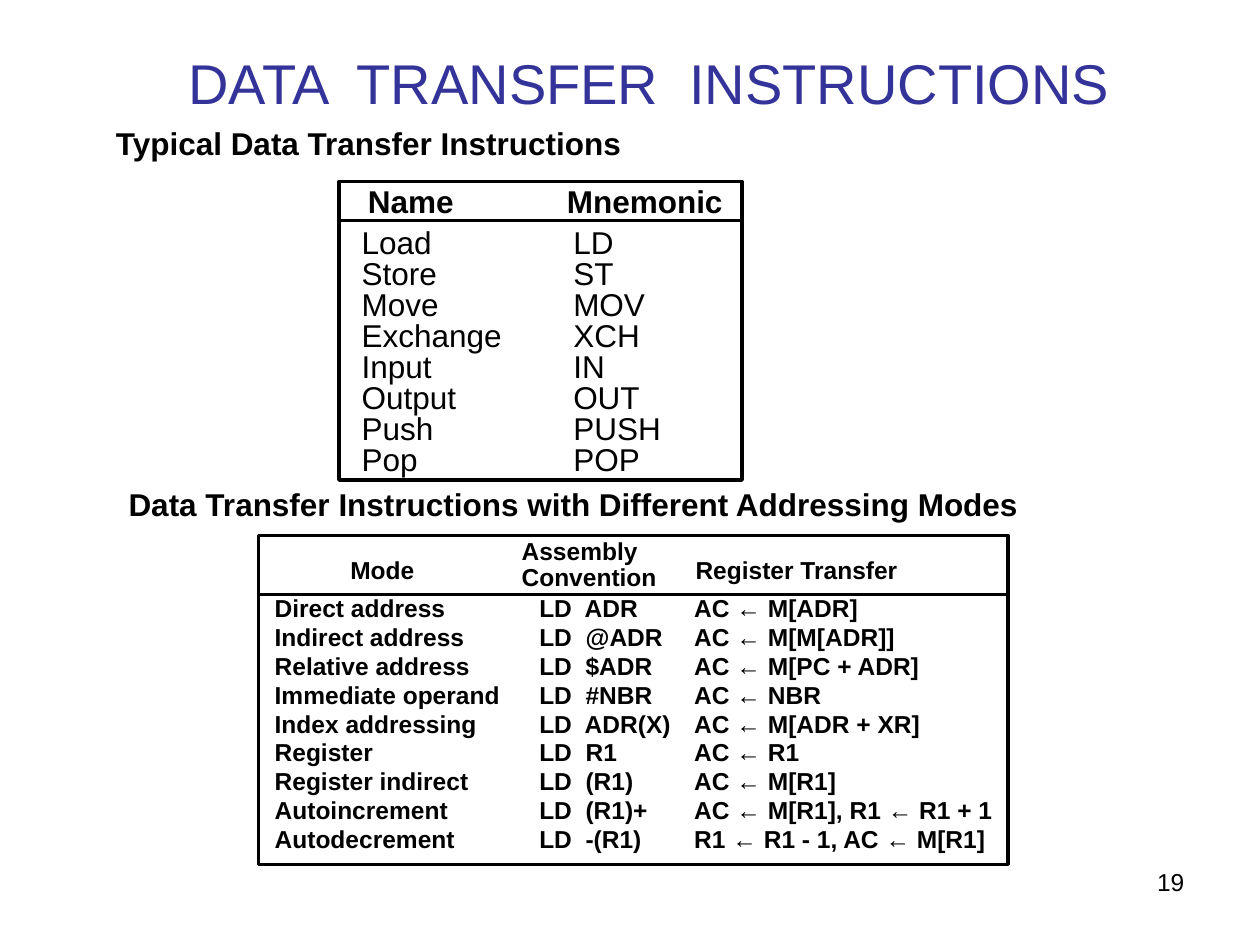
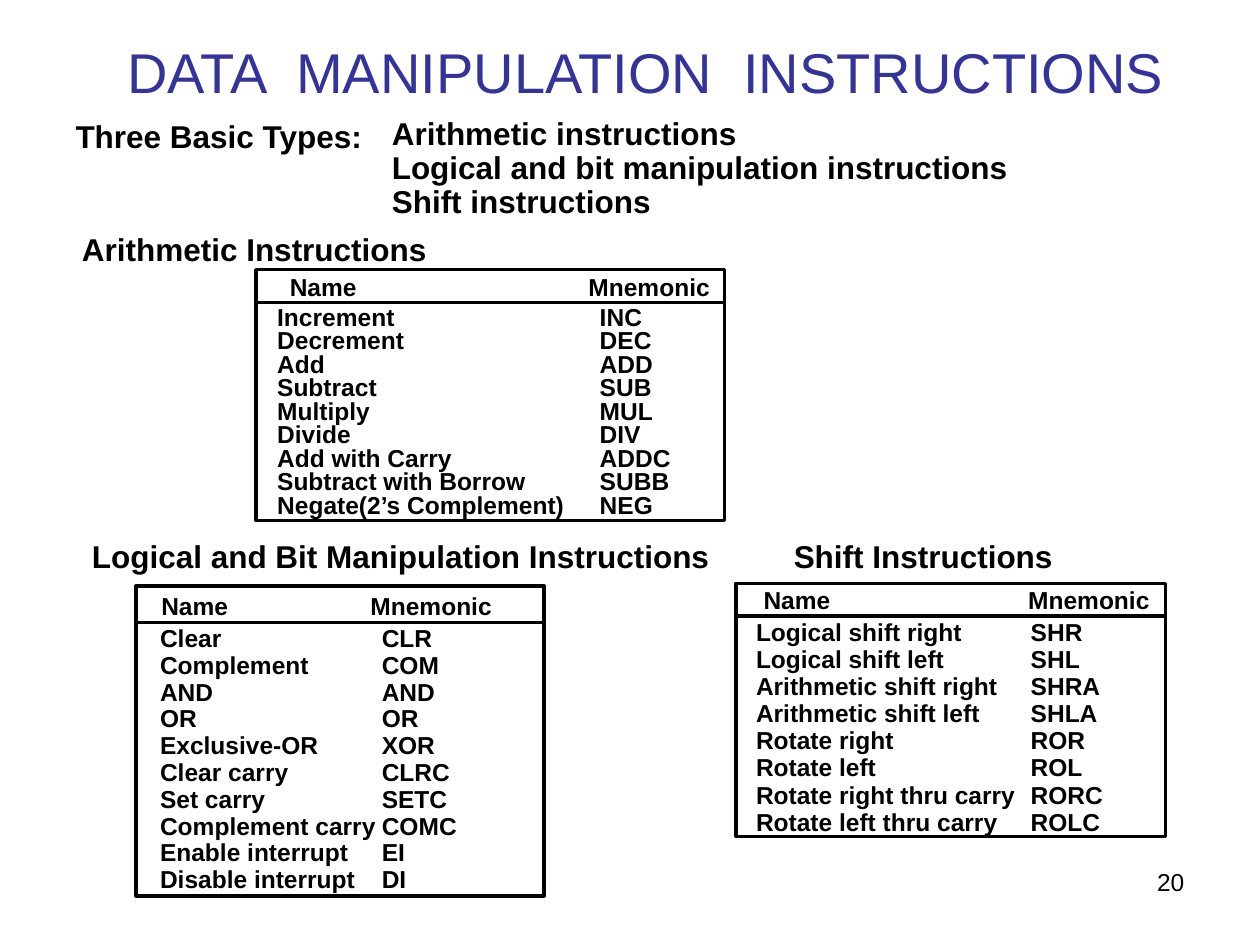
from lxml import etree
from pptx import Presentation
from pptx.dml.color import RGBColor
from pptx.enum import shapes, text
from pptx.oxml import ns
from pptx.util import Inches, Pt

FONT = "Arial"
BLACK = "000000"
TITLE_BLUE = "333399"

TRANSFER_ROWS = [
    "Load\tLD", "Store\tST", "Move\tMOV", "Exchange\tXCH",
    "Input\tIN", "Output\tOUT", "Push\tPUSH", "Pop\tPOP",
]
MODE_ROWS = [
    "Direct address\tLD  ADR\tAC ← M[ADR]",
    "Indirect address\tLD  @ADR\tAC ← M[M[ADR]]",
    "Relative address\tLD  $ADR\tAC ← M[PC + ADR]",
    "Immediate operand\tLD  #NBR\tAC ← NBR",
    "Index addressing\tLD  ADR(X)\tAC ← M[ADR + XR]",
    "Register\tLD  R1\tAC ← R1",
    "Register indirect\tLD  (R1)\tAC ← M[R1]",
    "Autoincrement\tLD  (R1)+\tAC ← M[R1], R1 ← R1 + 1",
    "Autodecrement\tLD  -(R1)\tR1 ← R1 - 1, AC ← M[R1]",
]
ARITHMETIC_ROWS = [
    "Increment\tINC", "Decrement\tDEC", "Add\tADD", "Subtract\tSUB",
    "Multiply\tMUL", "Divide\tDIV", "Add with Carry\tADDC",
    "Subtract with Borrow\tSUBB", "Negate(2’s Complement)\tNEG",
]
LOGICAL_ROWS = [
    "Clear\tCLR", "Complement\tCOM", "AND\tAND", "OR\tOR",
    "Exclusive-OR\tXOR", "Clear carry\tCLRC", "Set carry\tSETC",
    "Complement carry\tCOMC", "Enable interrupt\tEI", "Disable interrupt\tDI",
]
SHIFT_ROWS = [
    "Logical shift right\tSHR", "Logical shift left\tSHL",
    "Arithmetic shift right\tSHRA", "Arithmetic shift left\tSHLA",
    "Rotate right\tROR", "Rotate left\tROL",
    "Rotate right thru carry\tRORC", "Rotate left thru carry\tROLC",
]


def color(hex_value):
    return RGBColor.from_string(hex_value)


def add_tabs(p, stops):
    """Give a paragraph left tab stops, in inches from the text edge."""
    tabs = etree.SubElement(p._p.get_or_add_pPr(), ns.qn("a:tabLst"))
    for stop in stops:
        etree.SubElement(tabs, ns.qn("a:tab"), pos=str(Inches(stop)), algn="l")


def write(sp, lines, size, bold=False, hex_value=BLACK, spacing=None,
          align=text.PP_ALIGN.LEFT, tabs=()):
    """Fill a shape with one paragraph per line, all in the same style."""
    tf = sp.text_frame
    tf.word_wrap = True
    tf.auto_size = text.MSO_AUTO_SIZE.NONE
    tf.margin_left = tf.margin_right = Inches(0.07)
    tf.margin_top = tf.margin_bottom = Inches(0.03)
    tf.text = "\n".join(lines)
    for p in tf.paragraphs:
        p.alignment = align
        if spacing:
            p.line_spacing = spacing
        if tabs:
            add_tabs(p, tabs)
        p.font.name = FONT
        p.font.size = Pt(size)
        p.font.bold = bold
        p.font.color.rgb = color(hex_value)


def add_text(s, box, lines, size, **style):
    write(s.shapes.add_textbox(*map(Inches, box)), lines, size, **style)


def add_heading(s, left, top, *lines):
    height = 0.05 + 0.28 * len(lines)
    add_text(s, (left, top, 9.5 - left, height), lines, 18, bold=True, spacing=0.9)


def titled_slide(prs, title, box, number):
    s = prs.slides.add_slide(prs.slide_layouts[5])
    sp = s.shapes.title
    sp.left, sp.top, sp.width, sp.height = map(Inches, box)
    write(sp, [title], 32, hex_value=TITLE_BLUE, align=text.PP_ALIGN.CENTER)
    sp.text_frame.vertical_anchor = text.MSO_ANCHOR.MIDDLE
    add_text(s, (7.14, 6.85, 2.33, 0.5), [str(number)], 14,
             align=text.PP_ALIGN.RIGHT)
    return s


def framed_list(s, box, rule, labels, rows, offset, tabs, spacing,
                size=14, bold=True, label_spacing=0.9):
    """Draw a frame with a header rule; labels are (text, dx, dy, tabs)."""
    left, top, width, height = box
    frame = s.shapes.add_shape(shapes.MSO_SHAPE.RECTANGLE, *map(Inches, box))
    frame.shadow.inherit = False
    frame.fill.background()
    line = s.shapes.add_connector(
        shapes.MSO_CONNECTOR.STRAIGHT, Inches(left), Inches(top + rule),
        Inches(left + width), Inches(top + rule))
    etree.SubElement(line._element.spPr, ns.qn("a:effectLst"))
    for sp in (frame, line):
        sp.line.color.rgb = color(BLACK)
        sp.line.width = Pt(2)

    for label, dx, dy, label_tabs in labels:
        add_text(s, (left + dx, top + dy, width - dx, rule), label.split("\n"),
                 size, bold=True, spacing=label_spacing, tabs=label_tabs)
    dx, dy = offset
    add_text(s, (left + dx, top + dy, width - dx, height - dy), rows, size,
             bold=bold, spacing=spacing, tabs=tabs)


def name_label(dx, dy, tab):
    return [("Name\tMnemonic", dx, dy, [tab])]


def transfer_slide(prs):
    s = titled_slide(prs, "DATA  TRANSFER  INSTRUCTIONS", (0.92, 0.25, 8.47, 0.8), 19)
    add_heading(s, 0.85, 0.99, "Typical Data Transfer Instructions")
    framed_list(s, (2.69, 1.44, 3.2, 2.37), 0.31, name_label(0.16, 0.01, 1.58),
                TRANSFER_ROWS, (0.11, 0.35), [1.68], 0.82, size=18, bold=False)
    add_heading(s, 0.95, 3.85,
                "Data Transfer Instructions with Different Addressing Modes")
    labels = [("Mode", 0.66, 0.15, ()),
              ("Assembly\nConvention", 2.02, 0, ()),
              ("Register Transfer", 3.4, 0.15, ())]
    framed_list(s, (2.05, 4.25, 5.95, 2.61), 0.47, labels,
                MODE_ROWS, (0.06, 0.44), [2.1, 3.33], 0.98)


def manipulation_slide(prs):
    s = titled_slide(prs, "DATA  MANIPULATION  INSTRUCTIONS",
                     (0.49, 0.25, 9.27, 0.63), 20)
    add_heading(s, 0.53, 0.93, "Three Basic Types:")
    add_heading(s, 3.04, 0.91, "Arithmetic instructions",
                "Logical and bit manipulation instructions", "Shift instructions")
    add_heading(s, 0.58, 1.83, "Arithmetic Instructions")
    framed_list(s, (2.03, 2.14, 3.72, 1.99), 0.26, name_label(0.2, 0.03, 2.37),
                ARITHMETIC_ROWS, (0.1, 0.27), [2.56], 0.8, label_spacing=0.8)
    add_heading(s, 0.66, 4.27, "Logical and Bit Manipulation Instructions")
    framed_list(s, (1.08, 4.65, 3.24, 2.46), 0.29, name_label(0.13, 0.04, 1.66),
                LOGICAL_ROWS, (0.12, 0.29), [1.76], 0.91)
    add_heading(s, 6.23, 4.27, "Shift Instructions")
    framed_list(s, (5.84, 4.63, 3.41, 2.01), 0.26, name_label(0.15, 0.01, 2.1),
                SHIFT_ROWS, (0.09, 0.26), [2.18], 0.92)


def main():
    prs = Presentation()
    prs.slide_width, prs.slide_height = Inches(10), Inches(7.5)
    transfer_slide(prs)
    manipulation_slide(prs)
    prs.save("out.pptx")


if __name__ == "__main__":
    main()
